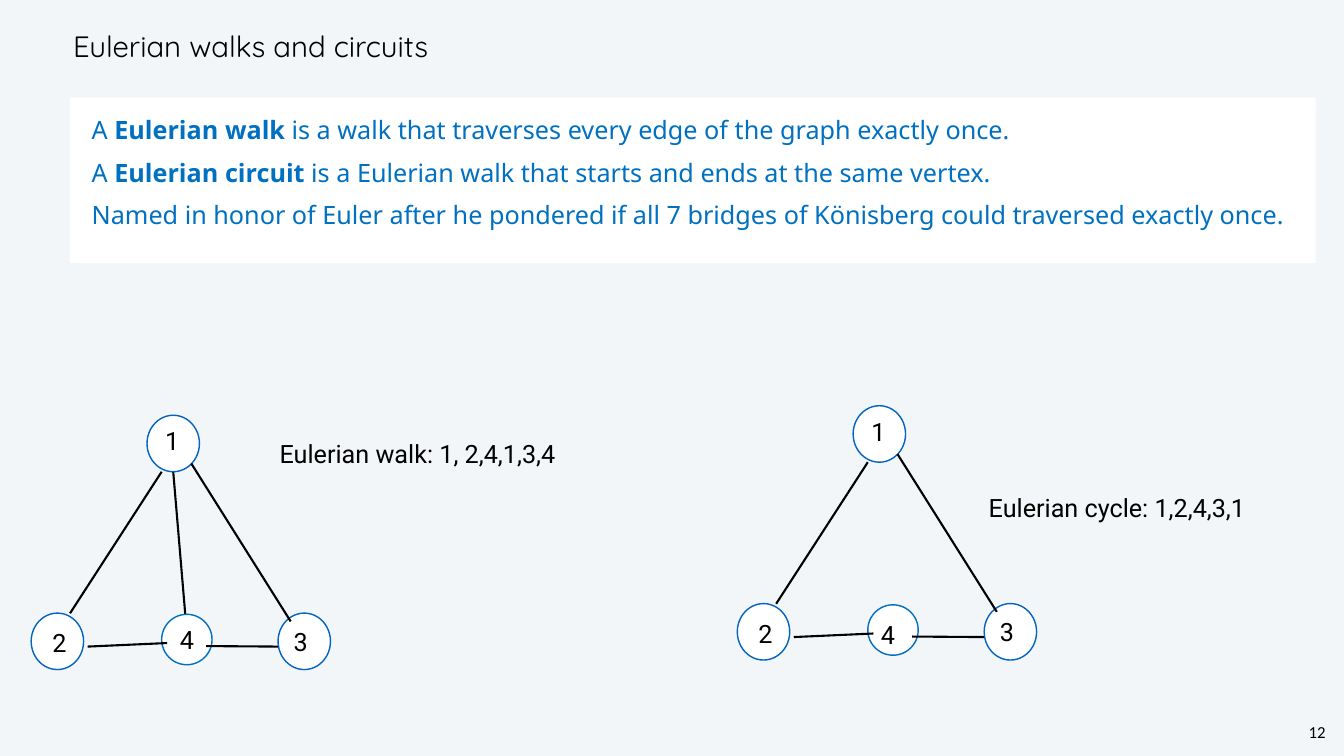
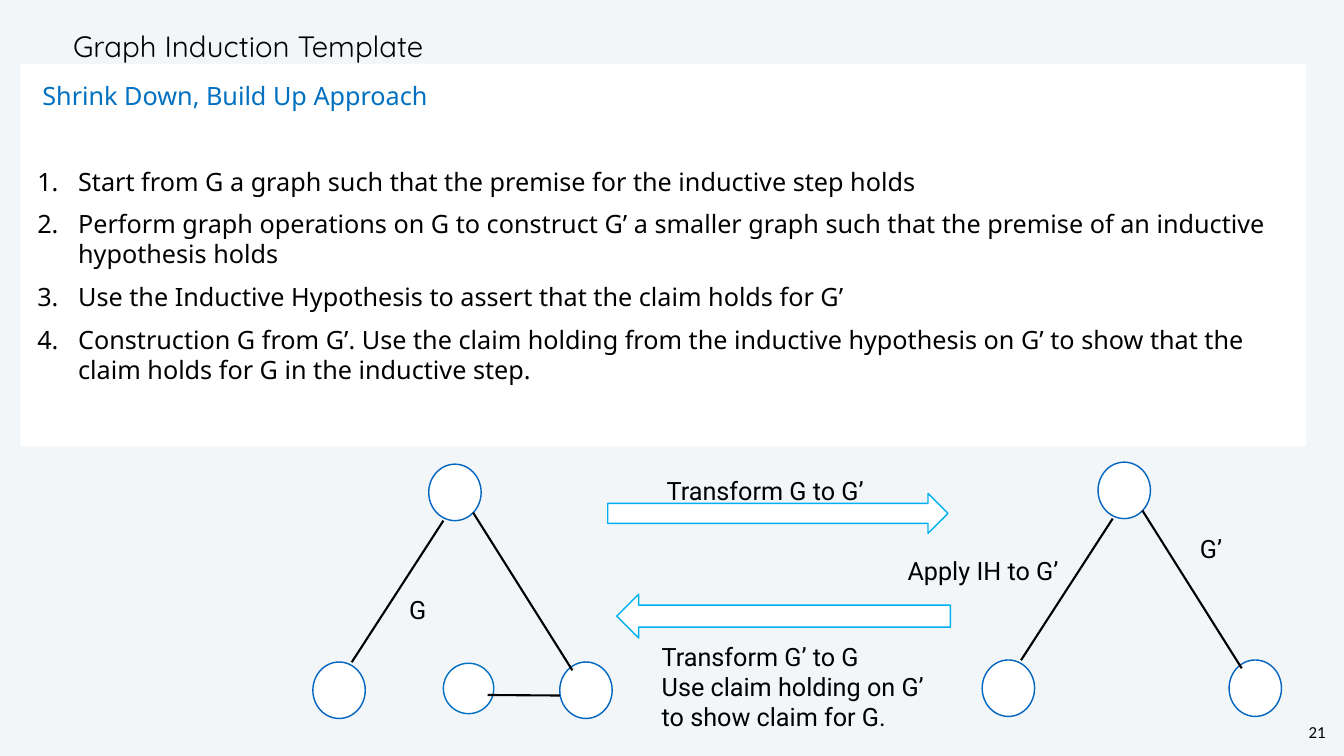
from pptx import Presentation
from pptx.dml.color import RGBColor
from pptx.enum.shapes import MSO_CONNECTOR, MSO_SHAPE
from pptx.enum.text import MSO_ANCHOR, PP_ALIGN
from pptx.oxml.xmlchemy import OxmlElement
from pptx.util import Inches, Pt

BACKDROP = RGBColor(0xF3, 0xF6, 0xF9)
WHITE = RGBColor(0xFF, 0xFF, 0xFF)
BLACK = RGBColor(0, 0, 0)
BLUE = RGBColor(0x00, 0x70, 0xC0)
NODE_BLUE = RGBColor(0x03, 0x65, 0xC0)
ARROW_BLUE = RGBColor(0x00, 0xB0, 0xF0)

deck = Presentation()
deck.slide_width, deck.slide_height = Inches(26.67), Inches(15)
deck.slide_master.background.fill.solid()
deck.slide_master.background.fill.fore_color.rgb = BACKDROP

# All positions are percentages of the slide's width and height
COLUMN, ROW = deck.slide_width / 100, deck.slide_height / 100


def place(*shares):
    return [round(share * unit) for share, unit in zip(shares, (COLUMN, ROW) * 2)]


def write(slide, box, paragraphs, font="Roboto", size=36, color=BLACK,
          inset=0.06, anchor=MSO_ANCHOR.MIDDLE):
    """Add a text box; each paragraph is a list of (text, bold) runs."""
    area = slide.shapes.add_textbox(*place(*box))
    frame = area.text_frame
    frame.word_wrap = True
    frame.vertical_anchor = anchor
    frame.margin_left = frame.margin_right = Inches(inset)
    frame.margin_top = frame.margin_bottom = Inches(inset)
    for index, runs in enumerate(paragraphs):
        paragraph = frame.add_paragraph() if index else frame.paragraphs[0]
        for text, bold in runs:
            run = paragraph.add_run()
            run.text = text
            run.font.name, run.font.size = font, Pt(size)
            run.font.bold, run.font.color.rgb = bold, color
    return area


# Title, panel and page number of each slide
walk_definitions = [
    [("A ", False), ("Eulerian walk", True),
     (" is a walk that traverses every edge of the graph exactly once.", False)],
    [("A ", False), ("Eulerian circuit ", True),
     ("is a Eulerian walk that starts and ends at the same vertex.", False)],
    [("Named in honor of Euler after he pondered if all 7 bridges of Kӧnisberg "
      "could traversed exactly once.", False)],
]
induction_steps = [
    [("Shrink Down, Build Up Approach", False)],
    [("Start from G a graph such that the premise for the inductive step holds", False)],
    [("Perform graph operations on G to construct G’ a smaller graph such that "
      "the premise of an inductive hypothesis holds", False)],
    [("Use the Inductive Hypothesis to assert that the claim holds for G’", False)],
    [("Construction G from G’. Use the claim holding from the inductive hypothesis "
      "on G’ to show that the claim holds for G in the inductive step.", False)],
]
pages = [
    ("Eulerian walks and circuits", "12", (5.21, 12.93, 92.69, 21.87), walk_definitions),
    ("Graph Induction Template", "21", (1.54, 8.47, 95.65, 50.6), induction_steps),
]
slides, panels = [], []
for title, number, panel_box, statements in pages:
    slide = deck.slides.add_slide(deck.slide_layouts[6])
    slides.append(slide)

    page_number = write(slide, (97.19, 95.27, 1.61, 3.13), [[(number, False)]],
                        "Calibri", 24, inset=0.04, anchor=MSO_ANCHOR.TOP)
    page_number.text_frame.word_wrap = False
    page_number.text_frame.paragraphs[0].alignment = PP_ALIGN.CENTER
    page_number.text_frame.paragraphs[0].line_spacing = Pt(28)

    heading = write(slide, (5.21, 2.8, 84.81, 6.6), [[(title, False)]], "Quicksand", 42)
    heading.text_frame.paragraphs[0].line_spacing = Pt(50)
    heading.text_frame.paragraphs[0].space_before = Pt(3)

    panel = write(slide, panel_box, statements, "Noto Sans", 36, BLUE, 0.33, MSO_ANCHOR.TOP)
    panel.fill.solid()
    panel.fill.fore_color.rgb = WHITE
    for paragraph in panel.text_frame.paragraphs:
        paragraph.line_spacing, paragraph.space_before = Pt(43), Pt(18)
        paragraph._p.get_or_add_pPr().set("indent", str(Inches(0.1)))
    panels.append(panel)

walk_slide, induction_slide = slides

# Numbered induction steps, set apart from the approach's name
steps = panels[1].text_frame.paragraphs[1:]
steps[0].space_before = Pt(79)
for step in steps:
    step.runs[0].font.color.rgb = BLACK
    properties = step._p.get_or_add_pPr()
    properties.set("marL", str(Inches(0.81)))
    properties.set("indent", str(-Inches(0.81)))
    numbering = OxmlElement("a:buAutoNum")
    numbering.set("type", "arabicPeriod")
    properties.append(numbering)

# Graphs: vertices and edges relative to each graph's corner
VERTICES = {
    1: (8.62, 0, 3.9, 7.47),
    2: (0, 26.17, 3.9, 7.47),
    3: (18.37, 26.17, 3.9, 7.47),
    4: (9.71, 26.33, 3.75, 6.67),
}
EDGES = {
    (1, 4): (10.57, 7.47, 11.51, 27.27),
    (1, 2): (9.71, 7.47, 2.89, 26.2),
    (1, 3): (11.92, 6.4, 19.31, 27.27),
    (2, 4): (4.2, 30.6, 10.12, 30.13),
    (4, 3): (13.01, 30.53, 18.37, 30.6),
}
VERTEX_LABELS = {1: (9.75, 0.93), 2: (1.35, 27.67), 3: (19.31, 27.47)}
cycle = [(1, 2), (1, 3), (2, 4), (4, 3)]
graphs = [
    (walk_slide, 2.32, 54.93, (1, 2, 3, 4), [(1, 4)] + cycle),
    (walk_slide, 54.86, 53.67, (1, 2, 3, 4), cycle),
    (induction_slide, 23.28, 61.4, (1, 2, 3, 4), [(1, 2), (1, 3), (4, 3)]),
    (induction_slide, 73.08, 61.13, (1, 2, 3), [(1, 2), (1, 3)]),
]
for slide, left, top, vertices, edges in graphs:
    # The inner edge runs behind the vertices, the others in front
    inner = [edge for edge in edges if edge == (1, 4)]
    outer = [edge for edge in edges if edge != (1, 4)]
    for part in inner + list(vertices) + outer:
        if part in EDGES:
            x1, y1, x2, y2 = EDGES[part]
            edge = slide.shapes.add_connector(
                MSO_CONNECTOR.STRAIGHT,
                *place(left + x1, top + y1, left + x2, top + y2))
            edge.line.color.rgb, edge.line.width = BLACK, Pt(3)
            edge._element.spPr.append(OxmlElement("a:effectLst"))
        else:
            x, y, width, height = VERTICES[part]
            vertex = slide.shapes.add_shape(
                MSO_SHAPE.OVAL, *place(left + x, top + y, width, height))
            vertex.shadow.inherit = False
            vertex.fill.solid()
            vertex.fill.fore_color.rgb = WHITE
            vertex.line.color.rgb = BLUE if part == 4 else NODE_BLUE
            vertex.line.width = Pt(2)
    if slide is walk_slide:
        for vertex_number, (x, y) in VERTEX_LABELS.items():
            write(slide, (left + x, top + y, 4.05, 4.8), [[(str(vertex_number), False)]])

# Captions beside the graphs
captions = [
    (walk_slide, (13.16, 82.2, 4.05, 4.8), ["4"]),
    (walk_slide, (65.32, 81.53, 4.05, 4.8), ["4"]),
    (walk_slide, (20.58, 57.53, 22.2, 4.8), ["Eulerian walk: 1, 2,4,1,3,4"]),
    (walk_slide, (73.34, 64.67, 20.62, 4.8), ["Eulerian cycle: 1,2,4,3,1"]),
    (induction_slide, (49.38, 62.47, 21.71, 4.8), ["Transform G to G’"]),
    (induction_slide, (30.22, 78.27, 21.71, 4.8), ["G"]),
    (induction_slide, (89.05, 70.13, 4.27, 4.8), ["G’"]),
    (induction_slide, (67.3, 73.07, 21.71, 4.8), ["Apply IH to G’"]),
    (induction_slide, (49.01, 84.33, 21.71, 12.87),
     ["Transform G’ to G", "Use claim holding on G’ to show claim for G."]),
]
for slide, box, lines in captions:
    write(slide, box, [[(line, False)] for line in lines])

# Arrows between G and G’
for direction, box in [
    (MSO_SHAPE.RIGHT_ARROW, (45.22, 65.27, 25.31, 5.27)),
    (MSO_SHAPE.LEFT_ARROW, (45.89, 78.6, 24.82, 5.8)),
]:
    transform = induction_slide.shapes.add_shape(direction, *place(*box))
    transform.shadow.inherit = False
    transform.fill.solid()
    transform.fill.fore_color.rgb = WHITE
    transform.line.color.rgb, transform.line.width = ARROW_BLUE, Pt(2)

deck.save("out.pptx")
